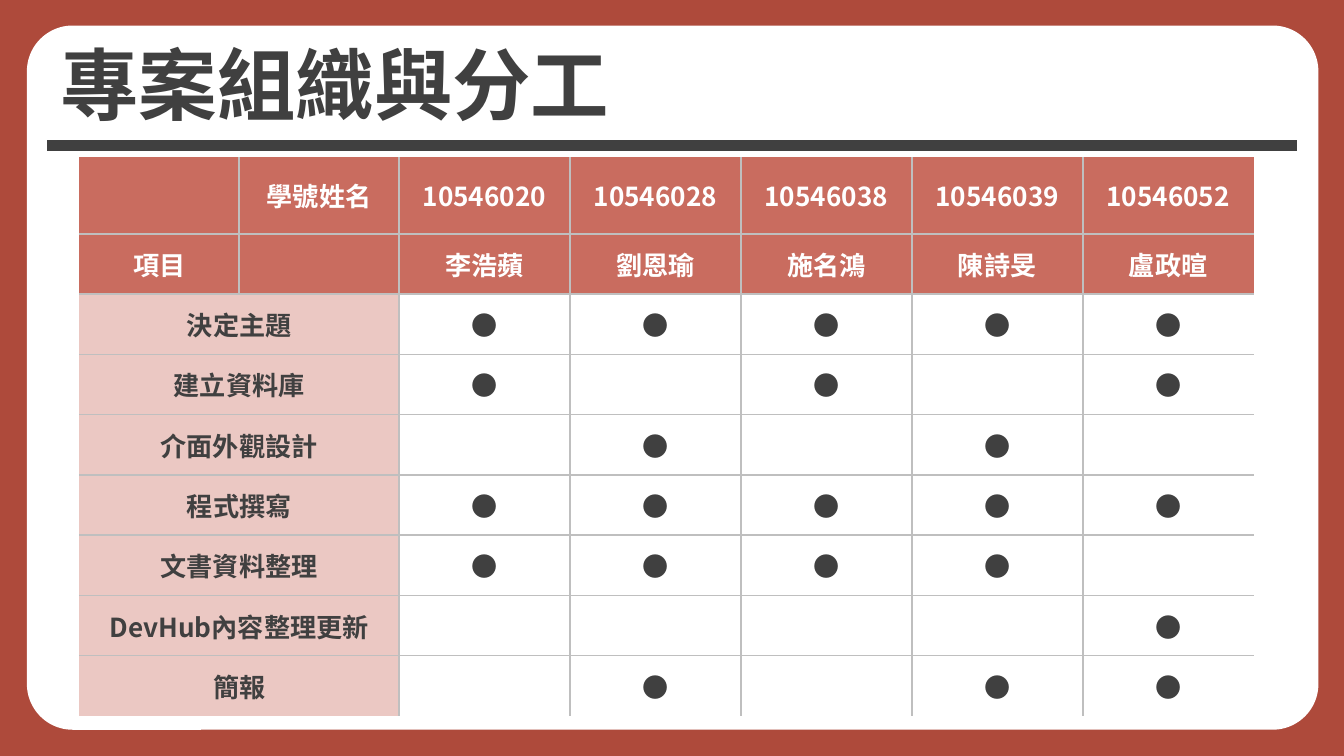
"""Build the project organisation slide with its division-of-work table."""
from lxml.etree import SubElement
from pptx import Presentation
from pptx.dml.color import RGBColor
from pptx.enum.shapes import MSO_CONNECTOR as Connector, MSO_SHAPE as Shape
from pptx.enum.text import MSO_ANCHOR as Anchor, PP_ALIGN as Align
from pptx.oxml.ns import qn
from pptx.util import Inches, Pt

TITLE = "專案組織與分工"
MEMBERS = [
    ("10546020", "李浩蘋"),
    ("10546028", "劉恩瑜"),
    ("10546038", "施名鴻"),
    ("10546039", "陳詩旻"),
    ("10546052", "盧政暄"),
]
TASKS = [
    ("決定主題", (0, 1, 2, 3, 4)),
    ("建立資料庫", (0, 2, 4)),
    ("介面外觀設計", (1, 3)),
    ("程式撰寫", (0, 1, 2, 3, 4)),
    ("文書資料整理", (0, 1, 2, 3)),
    ("DevHub內容整理更新", (4,)),
    ("簡報", (1, 3, 4)),
]
HEADER_ROWS, LABEL_COLUMNS = 2, 2
TABLE_WIDTH, TABLE_HEIGHT = 8.74, 4.16
LABEL_WIDTH, TOP_ROW_HEIGHT = 1.19, 0.57
MEMBER_WIDTH = (TABLE_WIDTH - LABEL_COLUMNS * LABEL_WIDTH) / len(MEMBERS)
ROW_HEIGHT = (TABLE_HEIGHT - TOP_ROW_HEIGHT) / (len(TASKS) + 1)
COLUMN_WIDTHS = [LABEL_WIDTH] * LABEL_COLUMNS + [MEMBER_WIDTH] * len(MEMBERS)
ROW_HEIGHTS = [TOP_ROW_HEIGHT] + [ROW_HEIGHT] * (len(TASKS) + 1)

FONT = "Noto Sans CJK SC"
RED = RGBColor(0xAE, 0x4A, 0x3B)
HEADER_RED = RGBColor(0xC9, 0x6C, 0x5F)
PINK = RGBColor(0xEB, 0xC8, 0xC3)
DARK = RGBColor(0x40, 0x40, 0x40)
GREY = RGBColor(0xBF, 0xBF, 0xBF)
WHITE = RGBColor(0xFF, 0xFF, 0xFF)


def add_text(paragraph, text, size, color):
    run = paragraph.add_run()
    run.text = text
    run.font.name = FONT
    run.font.size = Pt(size)
    run.font.bold = True
    run.font.color.rgb = color
    SubElement(run.font._element, qn("a:ea"), typeface=FONT)


def set_borders(cell, visible_sides):
    properties = cell._tc.get_or_add_tcPr()
    for index, side in enumerate("LRTB"):
        line = SubElement(properties, qn(f"a:ln{side}"), w=str(Pt(1)))
        if side in visible_sides:
            fill = SubElement(line, qn("a:solidFill"))
            SubElement(fill, qn("a:srgbClr"), val=str(GREY))
        else:
            SubElement(line, qn("a:noFill"))
        properties.insert(index, line)


def inner_sides(row, column):
    edges = {
        "L": column > 0,
        "R": column < len(COLUMN_WIDTHS) - 1,
        "T": row > 0,
        "B": row < len(ROW_HEIGHTS) - 1,
    }
    return [side for side, inner in edges.items() if inner]


def add_panel_and_title(slide):
    slide.background.fill.solid()
    slide.background.fill.fore_color.rgb = RED

    panel = slide.shapes.add_shape(
        Shape.ROUNDED_RECTANGLE, Inches(0.2), Inches(0.19), Inches(9.61), Inches(5.24))
    panel.adjustments[0] = 0.065
    panel.shadow.inherit = False
    panel.fill.solid()
    panel.fill.fore_color.rgb = WHITE
    panel.line.fill.background()

    title = slide.shapes.title
    title.left, title.top = Inches(0.35), Inches(0.06)
    title.width, title.height = Inches(4.33), Inches(1.12)
    panel._element.addnext(title._element)
    frame = title.text_frame
    frame.word_wrap = False
    frame.vertical_anchor = Anchor.MIDDLE
    frame.paragraphs[0].alignment = Align.LEFT
    add_text(frame.paragraphs[0], TITLE, 42, DARK)

    rule = slide.shapes.add_connector(
        Connector.STRAIGHT, Inches(0.35), Inches(1.08), Inches(9.65), Inches(1.08))
    rule.line.color.rgb = DARK
    rule.line.width = Pt(6)
    SubElement(rule._element.spPr, qn("a:effectLst"))


def add_work_table(slide):
    rows = [
        ["", "學號姓名"] + [number for number, name in MEMBERS],
        ["項目", ""] + [name for number, name in MEMBERS],
    ]
    for task, workers in TASKS:
        marks = ["●" if index in workers else "" for index in range(len(MEMBERS))]
        rows.append([task, ""] + marks)

    table = slide.shapes.add_table(
        len(rows), len(COLUMN_WIDTHS), Inches(0.59), Inches(1.17),
        Inches(TABLE_WIDTH), Inches(TABLE_HEIGHT)).table
    table.first_row = table.horz_banding = False
    for column, width in zip(table.columns, COLUMN_WIDTHS):
        column.width = Inches(width)
    for row, height in zip(table.rows, ROW_HEIGHTS):
        row.height = Inches(height)

    for row, texts in enumerate(rows):
        is_header = row < HEADER_ROWS
        for column, text in enumerate(texts):
            cell = table.cell(row, column)
            cell.margin_left = cell.margin_right = Inches(0.02)
            cell.margin_top = cell.margin_bottom = 0
            cell.vertical_anchor = Anchor.MIDDLE
            if is_header or column < LABEL_COLUMNS:
                cell.fill.solid()
                cell.fill.fore_color.rgb = HEADER_RED if is_header else PINK
            else:
                cell.fill.background()
            set_borders(cell, inner_sides(row, column))
            if text:
                paragraph = cell.text_frame.paragraphs[0]
                paragraph.alignment = Align.CENTER
                add_text(paragraph, text, 14, WHITE if is_header else DARK)
        if not is_header:
            table.cell(row, 0).merge(table.cell(row, LABEL_COLUMNS - 1))


def main():
    presentation = Presentation()
    presentation.slide_width = Inches(10)
    presentation.slide_height = presentation.slide_width * 9 // 16
    slide = presentation.slides.add_slide(presentation.slide_layouts[5])
    add_panel_and_title(slide)
    add_work_table(slide)
    presentation.save("out.pptx")


if __name__ == "__main__":
    main()
